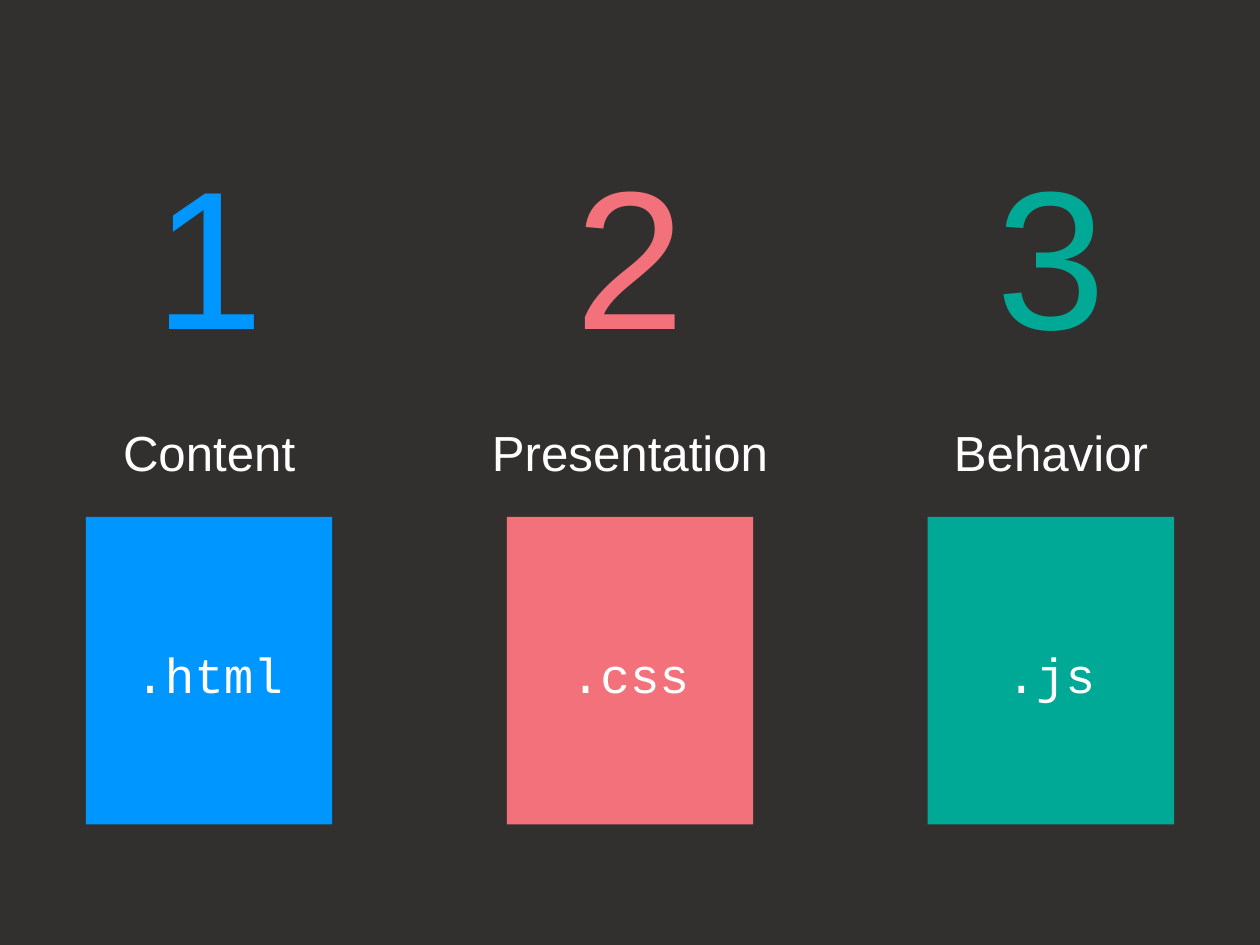
from pptx import Presentation
from pptx.dml.color import RGBColor
from pptx.enum.shapes import MSO_SHAPE as Shape
from pptx.enum.text import MSO_ANCHOR as Anchor, MSO_AUTO_SIZE as AutoSize, PP_ALIGN as Align
from pptx.util import Inches, Pt

WIDTH, HEIGHT = 14.22, 10.66
COLUMN_STEP = 4.75
COLUMN_WIDTH = 4.72
CARD_WIDTH = 2.78
NUMBER_TOP = HEIGHT / 8
LABEL_TOP = HEIGHT * 3 / 8
CARD_TOP, CARD_HEIGHT = 5.83, 3.47
WHITE = "FFFFFF"
LAYERS = [
    ("1", "Content", ".html", "0096FF"),
    ("2", "Presentation", ".css", "F2717A"),
    ("3", "Behavior", ".js", "00A996"),
]


def color(value):
    return RGBColor.from_string(value)


def place(box, left, top, width, height):
    box.left, box.top = Inches(left), Inches(top)
    box.width, box.height = Inches(width), Inches(height)


def write(box, text, font, size, ink, inset=0, anchor=Anchor.MIDDLE):
    frame = box.text_frame
    frame.text = text
    frame.word_wrap = True
    frame.auto_size = AutoSize.NONE
    frame.vertical_anchor = anchor
    frame.margin_left = frame.margin_right = Inches(inset)
    frame.margin_top = frame.margin_bottom = Inches(inset)
    para = frame.paragraphs[0]
    para.alignment = Align.CENTER
    para.line_spacing = 1.12
    span = para.runs[0]
    span.font.name = font
    span.font.size = Pt(size)
    span.font.color.rgb = color(ink)


def add_number(page, text, left, ink, box=None):
    box = box or page.shapes.add_textbox(0, 0, 0, 0)
    place(box, left, NUMBER_TOP, COLUMN_WIDTH, HEIGHT / 4)
    write(box, text, "Arial", 160, ink)


def add_label(page, text, left):
    box = page.shapes.add_textbox(0, 0, 0, 0)
    place(box, left, LABEL_TOP, COLUMN_WIDTH, HEIGHT - LABEL_TOP)
    write(box, text, "Arial", 40, WHITE, 0.69, Anchor.TOP)


def add_card(page, text, left, fill):
    card = page.shapes.add_shape(Shape.RECTANGLE, 0, 0, 0, 0)
    place(card, left + (COLUMN_WIDTH - CARD_WIDTH) / 2, CARD_TOP, CARD_WIDTH, CARD_HEIGHT)
    card.shadow.inherit = False
    card.fill.solid()
    card.fill.fore_color.rgb = color(fill)
    card.line.fill.background()
    write(card, text, "Courier New", 40, WHITE, 0.35)


def main():
    deck = Presentation()
    deck.slide_width, deck.slide_height = Inches(WIDTH), Inches(HEIGHT)
    page = deck.slides.add_slide(deck.slide_layouts[5])
    page.background.fill.solid()
    page.background.fill.fore_color.rgb = color("32302E")
    for column, (number, label, extension, accent) in enumerate(LAYERS):
        left = column * COLUMN_STEP
        title = page.shapes.title if column == 1 else None
        add_number(page, number, left, accent, title)
        add_label(page, label, left)
        add_card(page, extension, left, accent)
    deck.save("out.pptx")


if __name__ == "__main__":
    main()
